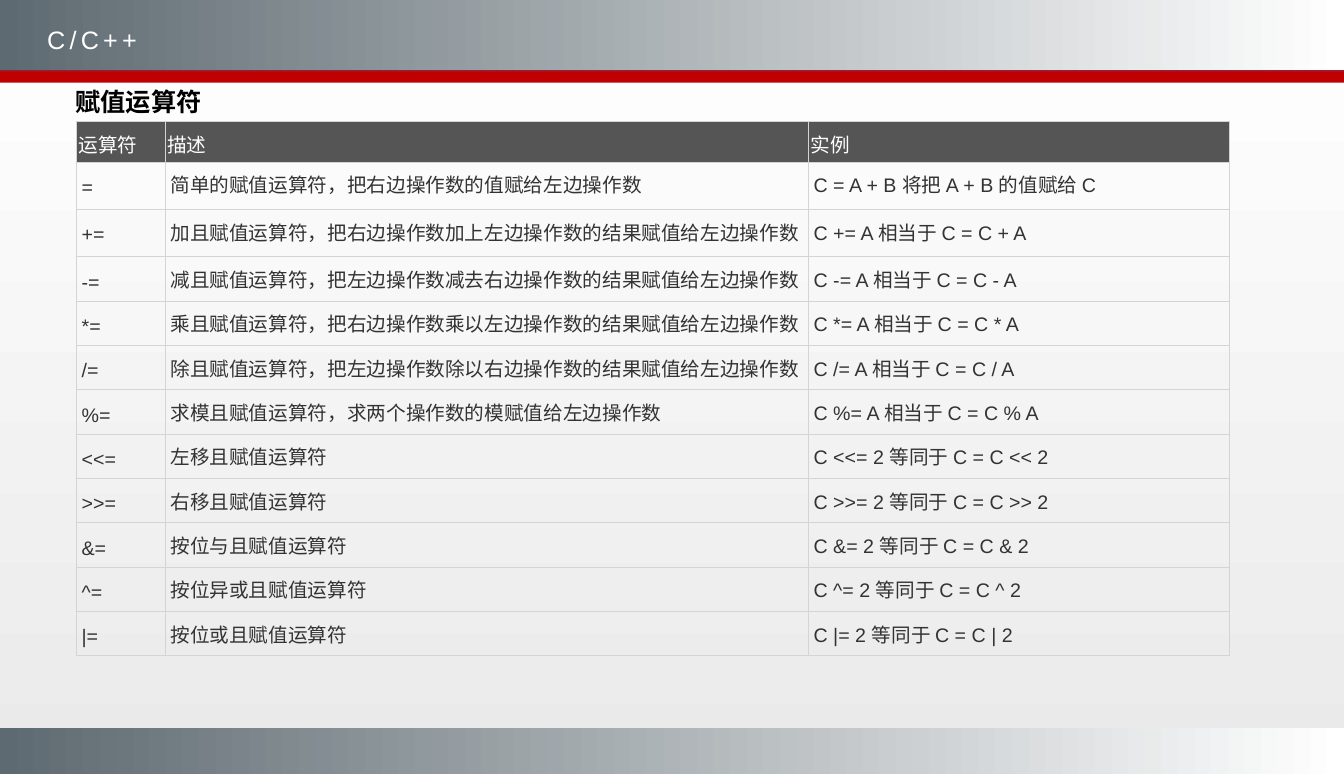
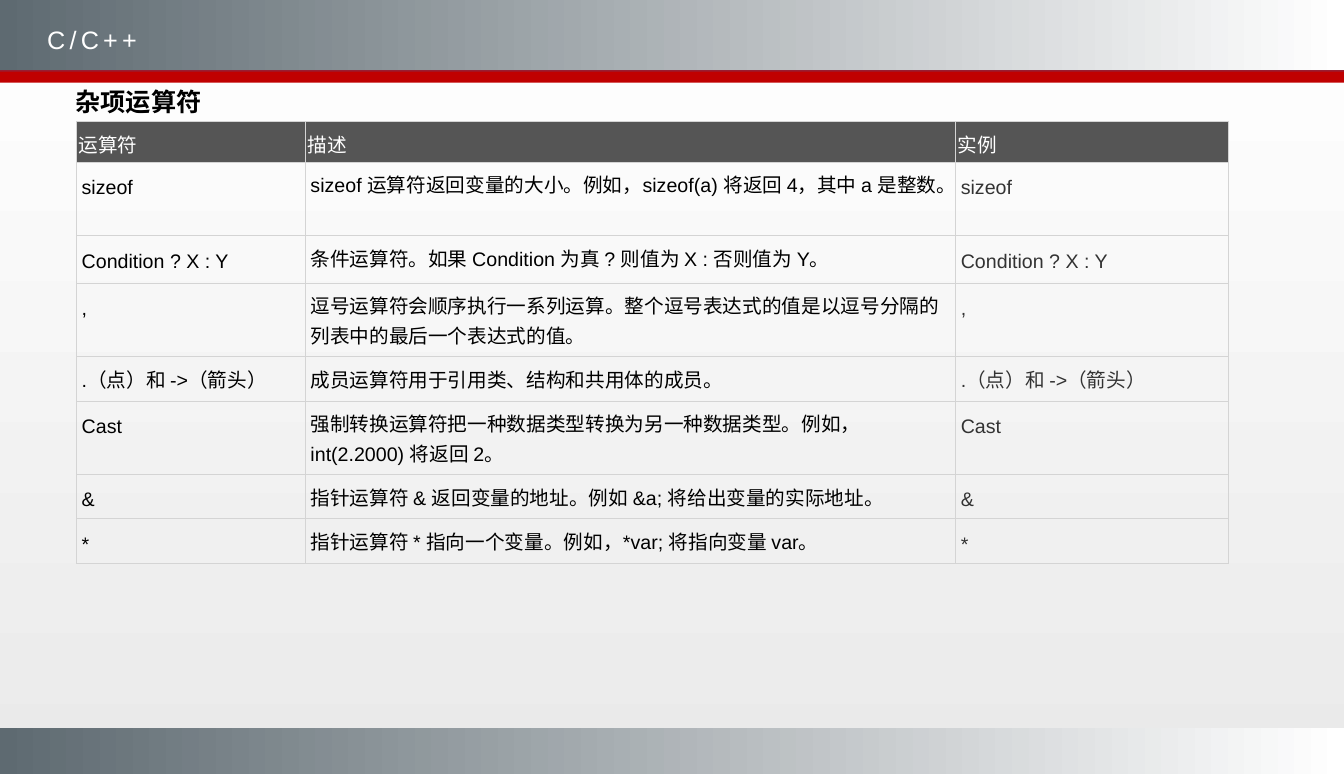
from dataclasses import dataclass

import pptx
import pptx.dml.color
import pptx.enum.shapes
import pptx.oxml
import pptx.oxml.ns
import pptx.util
from pptx.util import Inches


@dataclass(frozen=True)
class Theme:
    font: str = "Arial"
    heading_size: int = 18
    table_size: int = 14
    table_leading: int = 21
    slate: str = "5E6A71"
    white: str = "FFFFFF"
    black: str = "000000"
    mist: str = "EAEAEA"
    crimson: str = "981E32"
    red: str = "C00000"
    header_fill: str = "555555"
    grid: str = "D4D4D4"
    body: str = "333333"


THEME = Theme()
SLIDE_WIDTH, SLIDE_HEIGHT = 13.33, 7.68
HEADER = ("运算符", "描述", "实例")
HEADER_HEIGHT = 0.4

# Each row: height, operator, description, example
ASSIGNMENT_ROWS = (
    (0.47, "=", "简单的赋值运算符，把右边操作数的值赋给左边操作数", "C = A + B 将把 A + B 的值赋给 C"),
    (0.47, "+=", "加且赋值运算符，把右边操作数加上左边操作数的结果赋值给左边操作数", "C += A 相当于 C = C + A"),
    (0.44, "-=", "减且赋值运算符，把左边操作数减去右边操作数的结果赋值给左边操作数", "C -= A 相当于 C = C - A"),
    (0.44, "*=", "乘且赋值运算符，把右边操作数乘以左边操作数的结果赋值给左边操作数", "C *= A 相当于 C = C * A"),
    (0.44, "/=", "除且赋值运算符，把左边操作数除以右边操作数的结果赋值给左边操作数", "C /= A 相当于 C = C / A"),
    (0.44, "%=", "求模且赋值运算符，求两个操作数的模赋值给左边操作数", "C %= A 相当于 C = C % A"),
    (0.44, "<<=", "左移且赋值运算符", "C <<= 2 等同于 C = C << 2"),
    (0.44, ">>=", "右移且赋值运算符", "C >>= 2 等同于 C = C >> 2"),
    (0.44, "&=", "按位与且赋值运算符", "C &= 2 等同于 C = C & 2"),
    (0.44, "^=", "按位异或且赋值运算符", "C ^= 2 等同于 C = C ^ 2"),
    (0.44, "|=", "按位或且赋值运算符", "C |= 2 等同于 C = C | 2"),
)

# Each row: height, operator (also shown as the example), description
MISC_OPERATORS = (
    (0.73, "sizeof", "sizeof 运算符返回变量的大小。例如，sizeof(a) 将返回 4，其中 a 是整数。"),
    (0.47, "Condition ? X : Y", "条件运算符。如果 Condition 为真 ? 则值为 X : 否则值为 Y。"),
    (0.73, ",", "逗号运算符会顺序执行一系列运算。整个逗号表达式的值是以逗号分隔的列表中的最后一个表达式的值。"),
    (0.44, ".（点）和 ->（箭头）", "成员运算符用于引用类、结构和共用体的成员。"),
    (0.73, "Cast", "强制转换运算符把一种数据类型转换为另一种数据类型。例如，int(2.2000) 将返回 2。"),
    (0.44, "&", "指针运算符 & 返回变量的地址。例如 &a; 将给出变量的实际地址。"),
    (0.44, "*", "指针运算符 * 指向一个变量。例如，*var; 将指向变量 var。"),
)
MISC_ROWS = tuple((height, operator, description, operator)
                  for height, operator, description in MISC_OPERATORS)


def rgb(value):
    return pptx.dml.color.RGBColor.from_string(value)


def fill_solid(fill, color):
    fill.solid()
    fill.fore_color.rgb = rgb(color)


def fill_gradient(fill, start, end, angle):
    """Blend two colours; the angle runs counter-clockwise from the left."""
    fill.gradient()
    fill.gradient_angle = angle
    for stop, color in zip(fill.gradient_stops, (start, end)):
        stop.color.rgb = rgb(color)


def format_runs(paragraph, size, color, bold=False):
    for run in paragraph.runs:
        run.font.name = THEME.font
        run.font.size = pptx.util.Pt(size)
        run.font.bold = bold
        run.font.color.rgb = rgb(color)


def add_band(slide, top, height):
    band = slide.shapes.add_shape(
        pptx.enum.shapes.MSO_SHAPE.RECTANGLE,
        0, Inches(top), Inches(SLIDE_WIDTH), Inches(height))
    band.shadow.inherit = False
    band.line.fill.background()
    return band


def move_bands_to_master(slide, master):
    """Draw the bands once and hand them to the master that all slides share."""
    base = add_band(slide, 0, 0.76)
    fill_solid(base.fill, THEME.crimson)
    header = add_band(slide, 0, 0.7)
    footer = add_band(slide, 7.22, 0.46)
    for band in (header, footer):
        fill_gradient(band.fill, THEME.slate, THEME.white, 0)
    stripe = add_band(slide, 0.71, 0.11)
    fill_solid(stripe.fill, THEME.red)
    for band in (base, header, footer, stripe):
        master.shapes.element.append(band.element)


def add_heading(slide, text, left, top, width, color, bold=False):
    heading = slide.shapes.add_textbox(
        Inches(left), Inches(top), Inches(width), Inches(0.4))
    heading.text_frame.word_wrap = True
    heading.text_frame.text = text
    paragraph = heading.text_frame.paragraphs[0]
    format_runs(paragraph, THEME.heading_size, color, bold)
    return paragraph


def add_course_title(slide):
    title = add_heading(slide, "C/C++", 0.37, 0.19, 12.43, THEME.white)
    for run in title.runs:
        run.font._element.set("spc", "300")


def set_borders(cell):
    properties = cell._tc.get_or_add_tcPr()
    for position, side in enumerate(("lnL", "lnR", "lnT", "lnB")):
        border = pptx.oxml.parse_xml(
            f'<a:{side} {pptx.oxml.ns.nsdecls("a")} w="{pptx.util.Pt(0.75)}">'
            f'<a:solidFill><a:srgbClr val="{THEME.grid}"/></a:solidFill></a:{side}>')
        properties.insert(position, border)


def set_cell(cell, text, color, margins):
    cell.margin_left = cell.margin_right = Inches(margins[0])
    cell.margin_top = cell.margin_bottom = Inches(margins[1])
    cell.text_frame.text = text
    format_runs(cell.text_frame.paragraphs[0], THEME.table_size, color)
    set_borders(cell)


def add_operator_table(slide, widths, rows, colors):
    """Colors gives the body text colour of each column."""
    heights = [HEADER_HEIGHT] + [row[0] for row in rows]
    table = slide.shapes.add_table(
        len(heights), len(widths), Inches(0.76), Inches(1.21),
        Inches(sum(widths)), Inches(sum(heights))).table
    table.first_row = table.horz_banding = False
    for column, width in zip(table.columns, widths):
        column.width = Inches(width)
    for table_row, height in zip(table.rows, heights):
        table_row.height = Inches(height)

    for cell, label in zip(table.rows[0].cells, HEADER):
        set_cell(cell, label, THEME.white, (0.02, 0.08))
        fill_solid(cell.fill, THEME.header_fill)
    for row_number, (_, *texts) in enumerate(rows, start=1):
        for column_number, (text, color) in enumerate(zip(texts, colors)):
            cell = table.cell(row_number, column_number)
            set_cell(cell, text, color, (0.05, 0.07))
            cell.text_frame.paragraphs[0].line_spacing = pptx.util.Pt(THEME.table_leading)
            cell.fill.background()


def add_operator_slide(presentation, topic, widths, rows, colors):
    slide = presentation.slides.add_slide(presentation.slide_layouts[6])
    add_course_title(slide)
    heading = add_heading(slide, topic, 0.65, 0.81, 4.44, THEME.black, bold=True)
    heading.space_after = pptx.util.Pt(6)
    add_operator_table(slide, widths, rows, colors)
    return slide


def main():
    presentation = pptx.Presentation()
    presentation.slide_width = Inches(SLIDE_WIDTH)
    presentation.slide_height = Inches(SLIDE_HEIGHT)
    master = presentation.slide_master
    fill_gradient(master.background.fill, THEME.mist, THEME.white, 90)

    assignment = add_operator_slide(
        presentation, "赋值运算符", (0.88, 6.38, 4.17), ASSIGNMENT_ROWS,
        (THEME.body, THEME.body, THEME.body))
    move_bands_to_master(assignment, master)
    add_operator_slide(
        presentation, "杂项运算符", (2.27, 6.45, 2.7), MISC_ROWS,
        (THEME.black, THEME.black, THEME.body))
    presentation.save("out.pptx")


if __name__ == "__main__":
    main()
